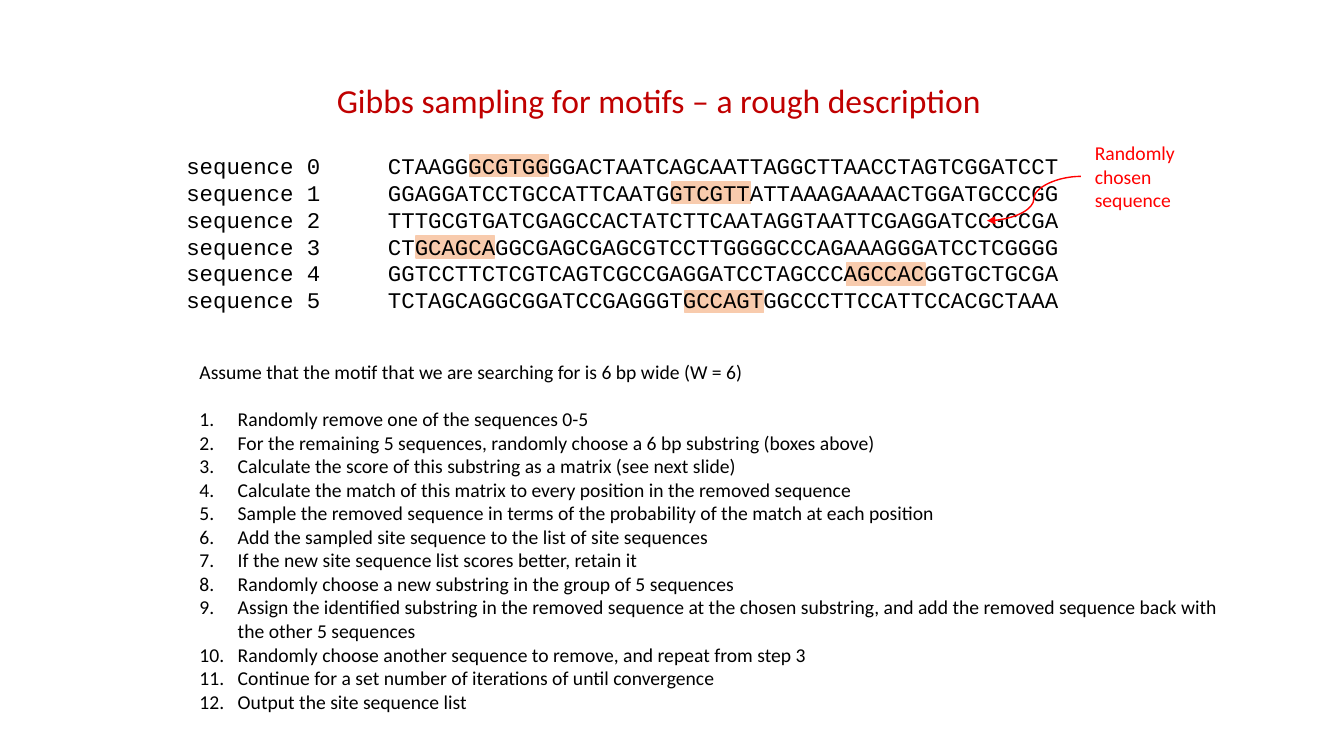
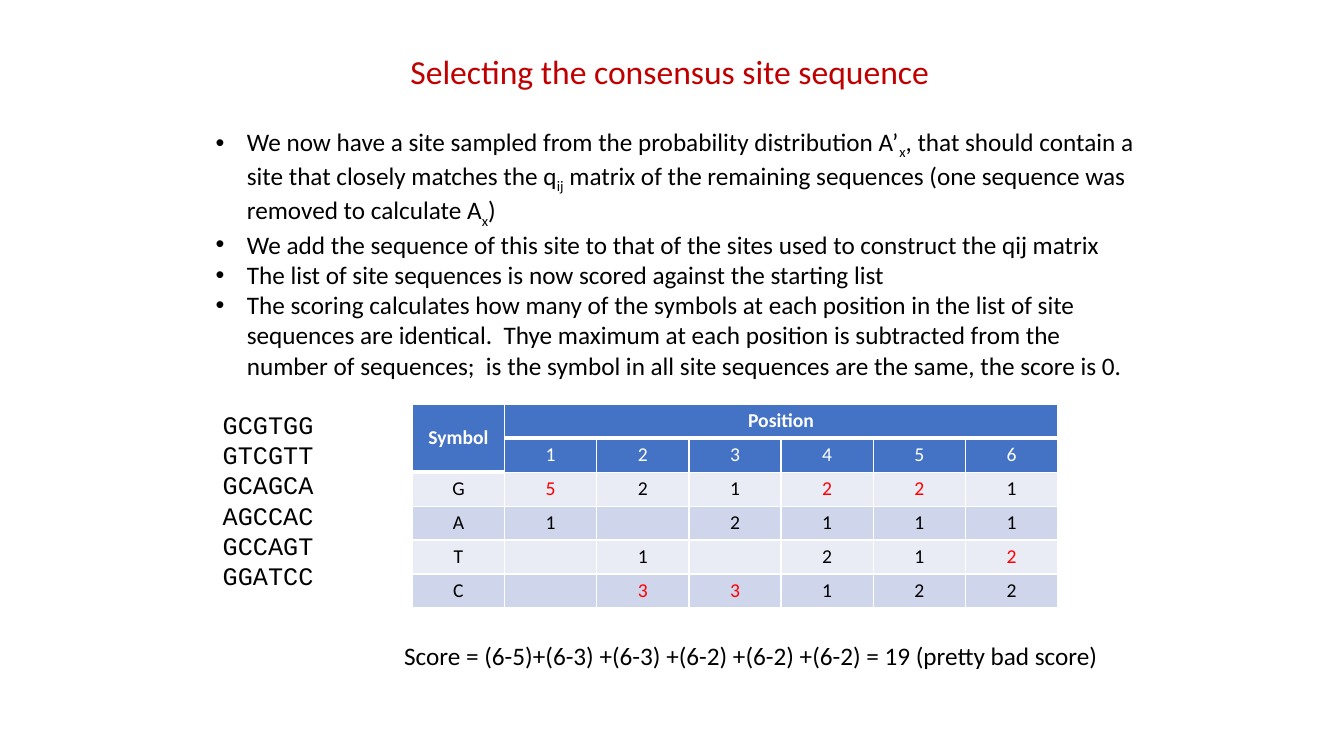
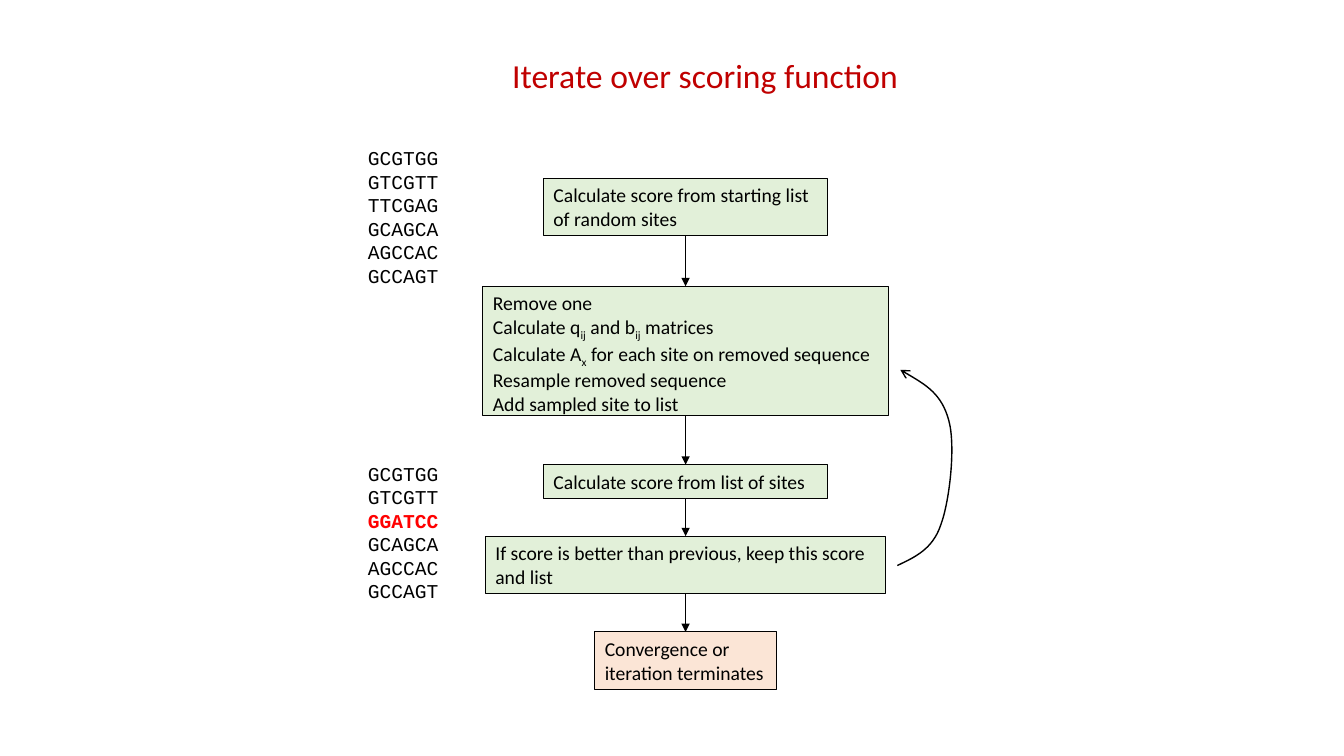
from pptx import Presentation
from pptx.dml.color import RGBColor as RGB
from pptx.enum.shapes import MSO_CONNECTOR as Link, MSO_SHAPE as Shape
from pptx.enum.text import MSO_ANCHOR as Anchor, MSO_AUTO_SIZE as Fit, PP_ALIGN as Align
from pptx.oxml.ns import qn
from pptx.oxml.xmlchemy import OxmlElement as Node
from pptx.util import Inches, Pt

BLACK = RGB(0, 0, 0)
WHITE = RGB(255, 255, 255)
RED = RGB(255, 0, 0)
CRIMSON = RGB(0xC0, 0, 0)
PEACH = RGB(0xF8, 0xCB, 0xAD)
GREEN = RGB(0xE2, 0xF0, 0xD9)
CREAM = RGB(0xFB, 0xE5, 0xD6)
BLUE = RGB(0x44, 0x72, 0xC4)
PALE = RGB(0xE9, 0xEB, 0xF5)
MIST = RGB(0xCF, 0xD5, 0xEA)
SANS = "Calibri"
MONO = "Courier New"

READS = [
    ("sequence 0\tCTAAGGGCGTGGGGACTAATCAGCAATTAGGCTTAACCTAGTCGGATCCT", 6),
    ("sequence 1\tGGAGGATCCTGCCATTCAATGGTCGTTATTAAAGAAAACTGGATGCCCGG", 21),
    ("sequence 2\tTTTGCGTGATCGAGCCACTATCTTCAATAGGTAATTCGAGGATCCGCCGA", None),
    ("sequence 3\tCTGCAGCAGGCGAGCGAGCGTCCTTGGGGCCCAGAAAGGGATCCTCGGGG", 2),
    ("sequence 4\tGGTCCTTCTCGTCAGTCGCCGAGGATCCTAGCCCAGCCACGGTGCTGCGA", 34),
    ("sequence 5 \tTCTAGCAGGCGGATCCGAGGGTGCCAGTGGCCCTTCCATTCCACGCTAAA", 22),
]
STEPS = [
    "Randomly remove one of the sequences 0-5",
    "For the remaining 5 sequences, randomly choose a 6 bp substring (boxes above)",
    "Calculate the score of this substring as a matrix (see next slide)",
    "Calculate the match of this matrix to every position in the removed sequence",
    "Sample the removed sequence in terms of the probability of the match at each position",
    "Add the sampled site sequence to the list of site sequences",
    "If the new site sequence list scores better, retain it",
    "Randomly choose a new substring in the group of 5 sequences",
    "Assign the identified substring in the removed sequence at the chosen substring, "
    "and add the removed sequence back with the other 5 sequences",
    "Randomly choose another sequence to remove, and repeat from step 3",
    "Continue for a set number of iterations of until convergence",
    "Output the site sequence list",
]
NOTES = [
    "We now have a site sampled from the probability distribution A’|x|, that should "
    "contain a site that closely matches the q|ij| matrix of the remaining sequences "
    "(one sequence was removed to calculate A|x|)",
    "We add the sequence of this site to that of the sites used to construct the qij matrix",
    "The list of site sequences is now scored against the starting list",
    "The scoring calculates how many of the symbols at each position in the list of site "
    "sequences are identical.  Thye maximum at each position is subtracted from the number "
    "of sequences;  is the symbol in all site sequences are the same, the score is 0.",
]
COUNTS = [
    "Symbol Position - - - - -",
    "- 1 2 3 4 5 6",
    "G 5* 2 1 2* 2* 1",
    "A 1 - 2 1 1 1",
    "T - 1 - 2 1 2*",
    "C - 3* 3* 1 2 2",
]
FLOW = [
    (1.77, 2.82, 0.57, GREEN, ["Calculate score from starting list of random sites"]),
    (2.84, 4.02, 1.28, GREEN, [
        "Remove one",
        "Calculate q|ij| and b|ij| matrices",
        "Calculate A|x| for each site on removed sequence",
        "Resample removed sequence",
        "Add sampled site to list",
    ]),
    (4.61, 2.82, 0.34, GREEN, ["Calculate score from list of sites"]),
    (5.32, 3.97, 0.57, GREEN, ["If score is better than previous, keep this score and list"]),
    (6.27, 1.8, 0.57, CREAM, ["Convergence or", "iteration terminates"]),
]
LOOP = [
    (8.9, 5.61),
    (9.07, 5.53), (9.25, 5.45), (9.33, 5.21),
    (9.42, 4.97), (9.48, 4.42), (9.41, 4.17),
    (9.34, 3.91), (9.14, 3.79), (8.93, 3.67),
]


def style(para, size, color=BLACK, font=SANS, bold=False):
    for run in para.runs:
        run.font.size = Pt(size)
        run.font.name = font
        run.font.bold = bold
        run.font.color.rgb = color


def write(frame, lines, size, color=BLACK, font=SANS, wrap=True):
    frame.word_wrap = wrap
    frame.auto_size = Fit.NONE
    frame.vertical_anchor = Anchor.TOP
    for num, line in enumerate(lines):
        para = frame.add_paragraph() if num else frame.paragraphs[0]
        para.alignment = Align.LEFT
        for part, text in enumerate(line.split("|")):
            run = para.add_run()
            run.text = text
            if part % 2:
                run.font._element.set("baseline", "-25000")
        style(para, size, color, font)
    return frame


def label(slide, area, lines, size, **look):
    box = slide.shapes.add_textbox(*map(Inches, area))
    return write(box.text_frame, lines, size, **look)


def bullet(para, indent, kind, **marks):
    props = para._p.get_or_add_pPr()
    props.set("marL", str(Inches(indent)))
    props.set("indent", str(-Inches(indent)))
    if kind == "a:buChar":
        face = Node("a:buFont")
        face.set("typeface", "Arial")
        props.append(face)
    mark = Node(kind)
    for key, value in marks.items():
        mark.set(key, value)
    props.append(mark)


def tab(para, place):
    stops = Node("a:tabLst")
    stop = Node("a:tab")
    stop.set("pos", str(Inches(place)))
    stop.set("algn", "l")
    stops.append(stop)
    para._p.get_or_add_pPr().append(stops)


def block(slide, area, fill, edge, width):
    box = slide.shapes.add_shape(Shape.RECTANGLE, *map(Inches, area))
    box.shadow.inherit = False
    box.fill.solid()
    box.fill.fore_color.rgb = fill
    box.line.color.rgb = edge
    box.line.width = Pt(width)
    return box


def tip(line, color, head):
    line.line.color.rgb = color
    line.line.width = Pt(1)
    end = Node("a:tailEnd")
    end.set("type", head)
    line.line._get_or_add_ln().append(end)


def arrow(slide, kind, ends, color):
    line = slide.shapes.add_connector(kind, *map(Inches, ends))
    tip(line, color, "triangle")
    line._element.spPr.append(Node("a:effectLst"))


def curve(slide, points):
    first, *rest = [(Inches(x), Inches(y)) for x, y in points]
    pen = slide.shapes.build_freeform(*first)
    pen.add_line_segments(rest, close=False)
    shape = pen.convert_to_shape()
    shape.shadow.inherit = False
    shape.fill.background()
    tip(shape, BLACK, "arrow")
    route = next(shape._element.iter(qn("a:path")))
    legs = route.findall(qn("a:lnTo"))
    for start in range(0, len(legs), 3):
        bend = Node("a:cubicBezTo")
        for leg in legs[start:start + 3]:
            bend.append(leg[0])
            route.remove(leg)
        route.append(bend)


def border(cell, side, width):
    line = Node(f"a:{side}")
    line.set("w", str(Pt(width)))
    fill = Node("a:solidFill")
    color = Node("a:srgbClr")
    color.set("val", str(WHITE))
    fill.append(color)
    line.append(fill)
    cell._tc.get_or_add_tcPr().append(line)


def grid(slide, area, rows):
    cells = [row.split() for row in rows]
    high, wide = len(cells), len(cells[0])
    table = slide.shapes.add_table(high, wide, *map(Inches, area)).table
    for row, texts in enumerate(cells):
        for col, text in enumerate(texts):
            cell = table.cell(row, col)
            top = row == 0 or (row == 1 and col == 0)
            border(cell, "lnL", 1)
            border(cell, "lnR", 1)
            border(cell, "lnB", 3 if top else 1)
            cell.fill.solid()
            cell.fill.fore_color.rgb = BLUE if row < 2 else (PALE, MIST)[row % 2]
            if top:
                cell.vertical_anchor = Anchor.MIDDLE
            para = cell.text_frame.paragraphs[0]
            para.alignment = Align.CENTER
            if text == "-":
                end = Node("a:endParaRPr")
                end.set("sz", "1400")
                para._p.append(end)
                continue
            para.text = text.strip("*")
            color = WHITE if row < 2 else RED if "*" in text else BLACK
            style(para, 14, color, bold=row == 0)
    table.cell(0, 0).merge(table.cell(1, 0))
    table.cell(0, 1).merge(table.cell(0, wide - 1))


def page(deck, text, left, top, width):
    slide = deck.slides.add_slide(deck.slide_layouts[5])
    title = slide.shapes.title
    title.left, title.top = Inches(left), Inches(top)
    title.width, title.height = Inches(width), Inches(0.5)
    write(title.text_frame, [text], 24, CRIMSON)
    return slide


def outline(deck):
    slide = page(deck, "Gibbs sampling for motifs – a rough description", 3.24, 0.74, 6.86)
    pitch = 0.6 * 16 / 72
    for row, (_, start) in enumerate(READS):
        if start is not None:
            area = (3.86 + start * pitch, 1.53 + row * 0.27, 0.78, 0.22)
            block(slide, area, PEACH, PEACH, 1)
    intro = "Assume that the motif that we are searching for is 6 bp wide (W = 6)"
    frame = label(slide, (1.88, 3.52, 10.34, 3.64), [intro] + STEPS, 14)
    frame.paragraphs[0].space_after = Pt(17)
    for para in frame.paragraphs[1:]:
        bullet(para, 0.38, "a:buAutoNum", type="arabicPeriod")
    lines = [read for read, _ in READS]
    frame = label(slide, (1.75, 1.46, 8.97, 1.72), lines, 16, font=MONO)
    for para in frame.paragraphs:
        tab(para, 2)
    arrow(slide, Link.CURVE, (10.72, 1.75, 9.79, 2.19), RED)
    label(slide, (10.76, 1.35, 1.28, 0.81), ["Randomly chosen sequence"], 14, color=RED)


def scoring(deck):
    slide = page(deck, "Selecting the consensus site sequence", 3.97, 0.45, 5.4)
    frame = label(slide, (2.04, 1.2, 9.32, 3.13), NOTES, 18)
    for para in frame.paragraphs:
        bullet(para, 0.31, "a:buChar", char="•")
    sites = "GCGTGG GTCGTT GCAGCA AGCCAC GCCAGT GGATCC".split()
    label(slide, (2.11, 4.01, 1.11, 1.92), sites, 18, font=MONO, wrap=False)
    grid(slide, (4.09, 4.01, 6.4, 2), COUNTS)
    total = "Score = (6-5)+(6-3) +(6-3) +(6-2) +(6-2) +(6-2) = 19 (pretty bad score)"
    label(slide, (3.91, 6.3, 7.18, 0.4), [total], 18)


def cycle(deck):
    slide = page(deck, "Iterate over scoring function", 4.98, 0.49, 4.07)
    for top, third in ((1.4, "TTCGAG"), (4.53, "GGATCC")):
        sites = ["GCGTGG", "GTCGTT", third, "GCAGCA", "AGCCAC", "GCCAGT"]
        frame = label(slide, (3.55, top, 0.91, 1.51), sites, 14, font=MONO, wrap=False)
    style(frame.paragraphs[2], 14, RED, MONO, True)
    mid = 6.8
    for top, width, height, fill, lines in FLOW:
        box = block(slide, (mid - width / 2, top, width, height), fill, BLACK, 0.75)
        write(box.text_frame, lines, 14)
    for prev, step in zip(FLOW, FLOW[1:]):
        arrow(slide, Link.STRAIGHT, (mid, prev[0] + prev[2], mid, step[0]), BLACK)
    curve(slide, LOOP)


def main():
    deck = Presentation()
    deck.slide_width, deck.slide_height = Inches(13.33), Inches(7.5)
    outline(deck)
    scoring(deck)
    cycle(deck)
    deck.save("out.pptx")


main()
